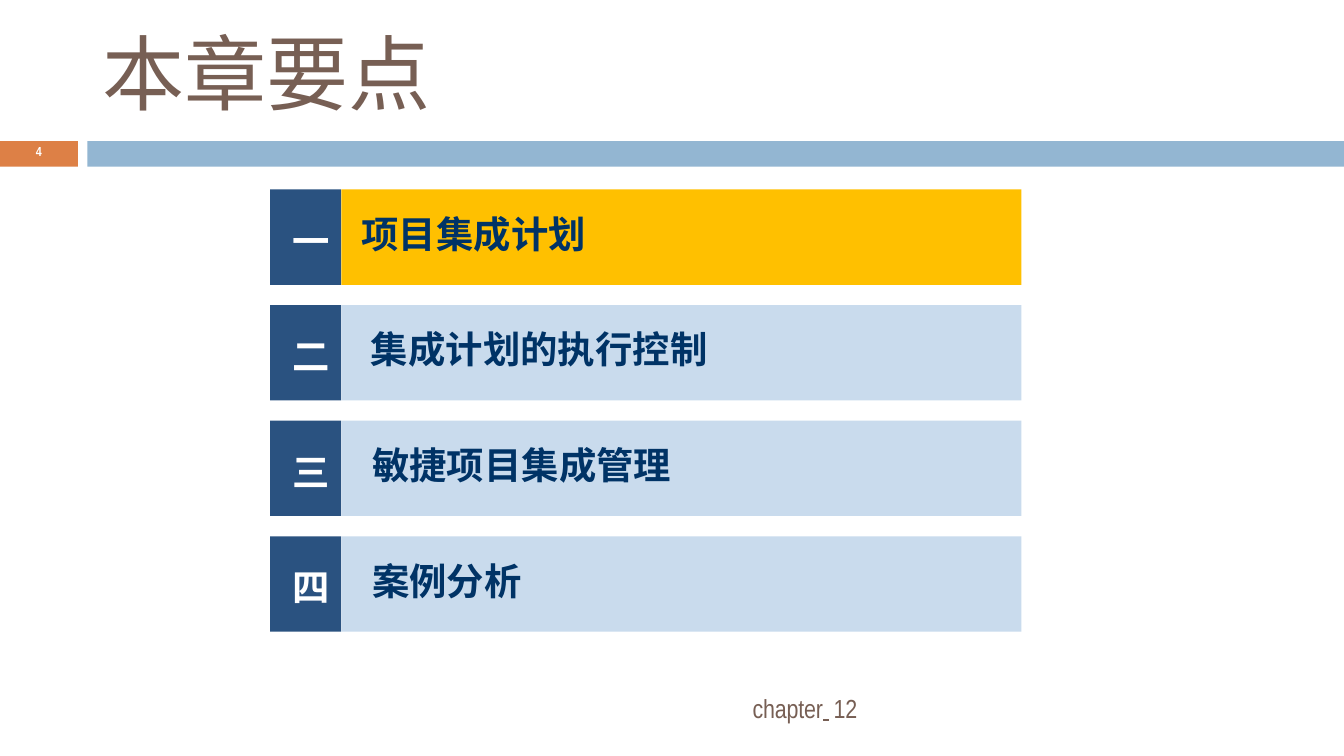
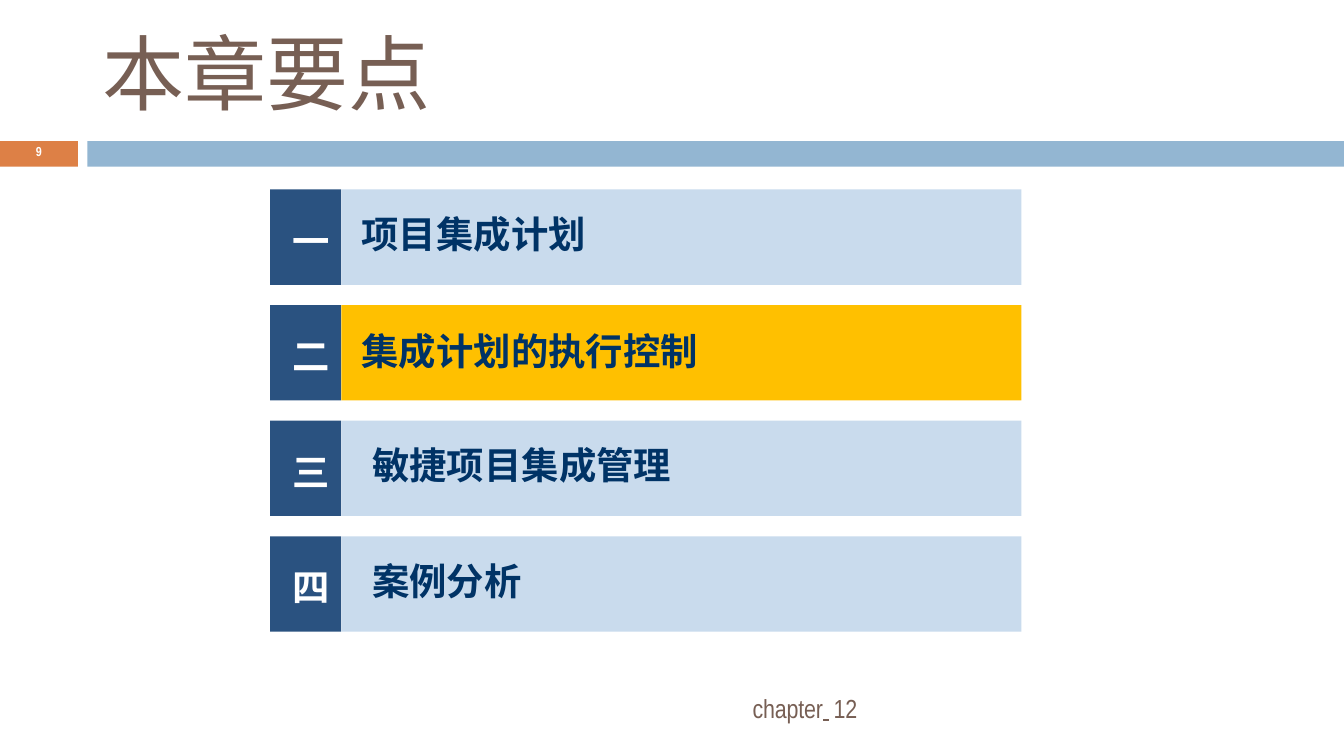
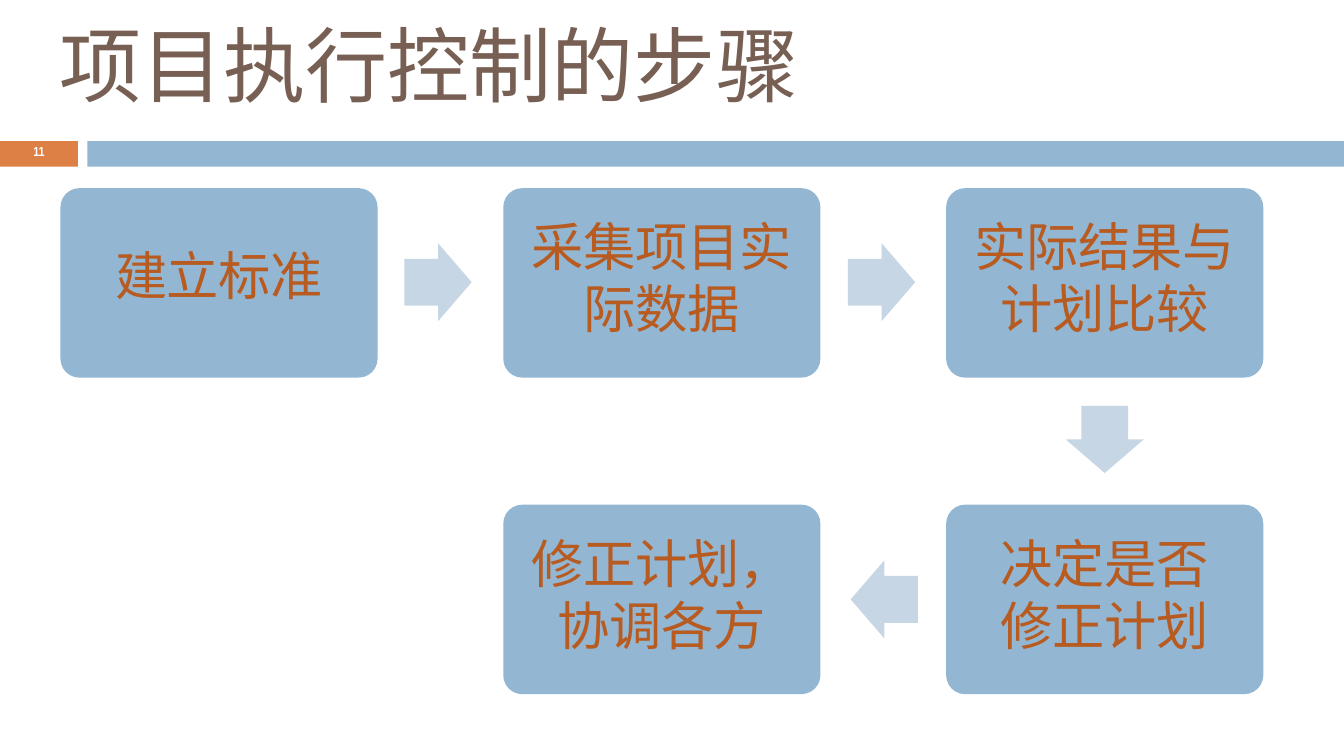
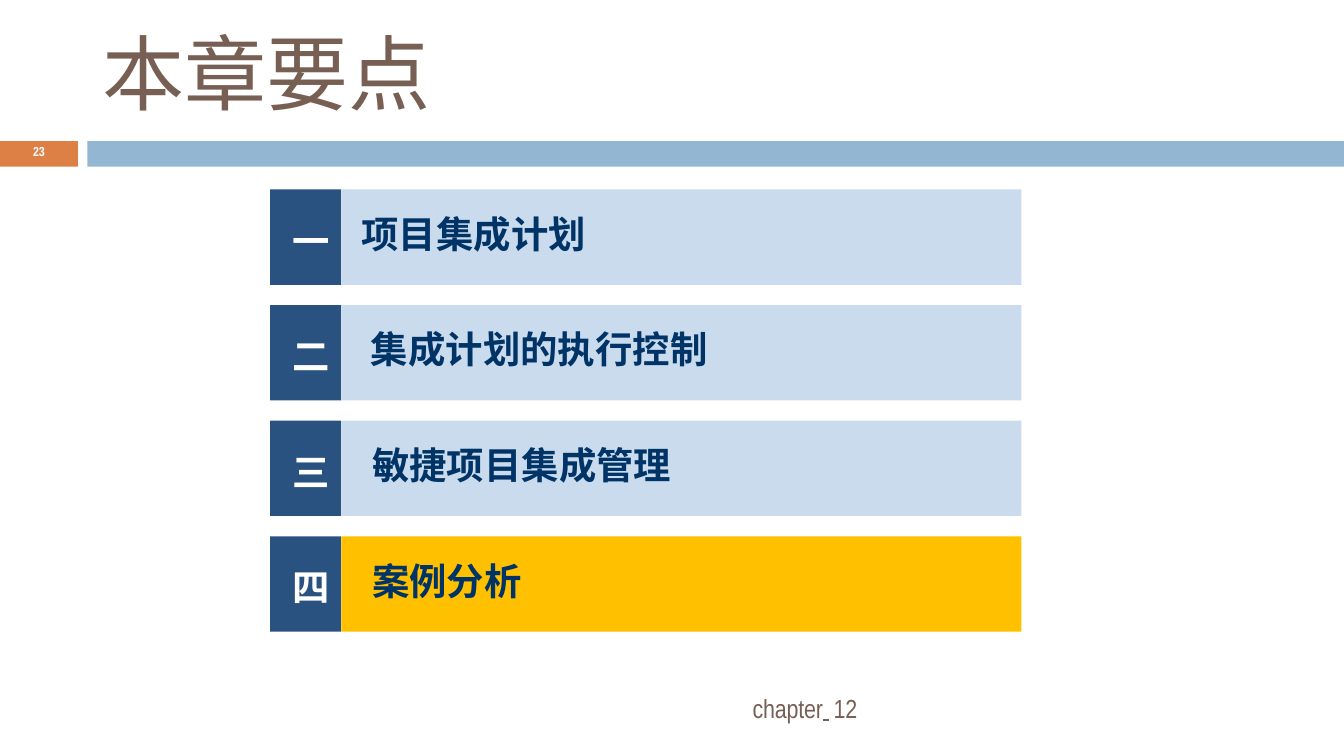
from pptx import Presentation
from pptx.dml.color import RGBColor
from pptx.enum.shapes import MSO_SHAPE
from pptx.enum.text import MSO_ANCHOR, PP_ALIGN
from pptx.oxml.ns import qn
from pptx.util import Inches, Pt
from lxml import etree

RECT = MSO_SHAPE.RECTANGLE
ROUNDED = MSO_SHAPE.ROUNDED_RECTANGLE
RIGHT, DOWN, LEFT = (MSO_SHAPE.RIGHT_ARROW, MSO_SHAPE.DOWN_ARROW,
                     MSO_SHAPE.LEFT_ARROW)
TOP = MSO_ANCHOR.TOP
ALIGN_LEFT, ALIGN_CENTER = PP_ALIGN.LEFT, PP_ALIGN.CENTER

# The grid: 100 columns by 56.25 rows of square cells
CELL = 0.1
COLUMNS, ROWS = 100, 56.25

COLORS = {
    "title": "775F54", "accent": "DD8046", "band": "93B6D2",
    "badge": "2A5280", "item": "C9DBED", "active": "FFC000",
    "ink": "003366", "white": "FFFFFF", "step": "B85B21", "arrow": "C7D6E4",
}
SC, JP, NARROW = "Noto Sans CJK SC", "Noto Sans CJK JP", "Arial Narrow"

AGENDA = [("一", "项目集成计划", 1.5), ("二", "集成计划的执行控制", 2.2),
          ("三", "敏捷项目集成管理", 2.3), ("四", "案例分析", 2.3)]

# Each step: grid column, grid row, lines of text
STEPS = [(0, 0, ["建立标准"]), (1, 0, ["采集项目实", "际数据"]),
         (2, 0, ["实际结果与", "计划比较"]), (2, 1, ["决定是否", "修正计划"]),
         (1, 1, ["修正计划，", "协调各方"])]


def cells(count):
    return Inches(count * CELL)


def write(shape, parts, size=20, font=SC, color="ink", bold=False,
          align=ALIGN_LEFT, spacing=0, line=None, left=0, top=0.1):
    """Fill a shape with text: a string, or (text, own spacing, underline) runs."""
    frame = shape.text_frame
    frame.word_wrap = True
    frame.vertical_anchor = TOP
    frame.margin_left, frame.margin_top = cells(left), cells(top)
    frame.margin_right = frame.margin_bottom = 0
    paragraph = frame.paragraphs[0]
    paragraph.alignment = align
    if line:
        paragraph.line_spacing = Pt(line)
    if isinstance(parts, str):
        parts = [(parts, spacing, False)]
    for text, run_spacing, underline in parts:
        for index, row in enumerate(text.split("\n")):
            if index:
                paragraph.add_line_break()
            run = paragraph.add_run()
            run.text = row
            run.font.size, run.font.bold, run.font.name = Pt(size), bold, font
            run.font.color.rgb = RGBColor.from_string(COLORS[color])
            if underline:
                run.font.underline = True
            properties = run.font._element
            if run_spacing:
                properties.set("spc", str(round(run_spacing * 100)))
            latin = properties.find(qn("a:latin"))
            east_asian = etree.Element(qn("a:ea"), typeface=font)
            latin.addnext(east_asian)


class Deck:
    def __init__(self):
        self.show = Presentation()
        self.show.slide_width = cells(COLUMNS)
        self.show.slide_height = cells(ROWS)
        self.slide = None

    def block(self, kind, x, y, width, height, fill, adjust=()):
        shape = self.slide.shapes.add_shape(
            kind, cells(x), cells(y), cells(width), cells(height))
        shape.shadow.inherit = False
        shape.fill.solid()
        shape.fill.fore_color.rgb = RGBColor.from_string(COLORS[fill])
        shape.line.fill.background()
        for index, value in enumerate(adjust):
            shape.adjustments[index] = value
        return shape

    def label(self, x, y, width, height, text, **style):
        box = self.slide.shapes.add_textbox(
            cells(x), cells(y), cells(width), cells(height))
        write(box, text, **style)

    def page(self, number, title, x, y):
        """Start a slide with its bands, title and page number."""
        self.slide = self.show.slides.add_slide(self.show.slide_layouts[6])
        tab_width, band_left = 5.8, 6.5
        self.block(RECT, 0, 10.5, tab_width, 1.9, "accent")
        self.block(RECT, band_left, 10.5, COLUMNS - band_left, 1.9, "band")
        self.label(x, y, 6.1 * len(title) + 0.4, 7.6, title, size=44, color="title")
        number_width = 0.3 + 0.4 * len(number)
        self.label((tab_width - number_width) / 2, 10.6, number_width, 1.4, number,
                   size=7, font=NARROW, color="white", bold=True,
                   align=ALIGN_CENTER, spacing=-0.1)

    def footer(self):
        self.label(56, 51.4, 9.1, 2.6,
                   [("chapter", -0.1, False), (" ", 2.5, True), ("12", -0.1, False)],
                   size=14, font=NARROW, color="title")

    def agenda(self, number, active, shifts=None):
        """List the chapter's parts, with one lit up; shifts replace (left, top)."""
        self.page(number, "本章要点", 7.6, 1.6)
        self.footer()
        left, top, pitch, height, badge_width = 20.1, 14.1, 8.6, 7.1, 5.3
        for index, (numeral, topic, indent) in enumerate(AGENDA):
            y = top + index * pitch
            badge = self.block(RECT, left, y, badge_width, height, "badge")
            write(badge, numeral, color="white", bold=True, left=1.7, top=2.1)
            bar = self.block(RECT, left + badge_width, y, 50.6, height,
                             "active" if index == active else "item")
            text_left, text_top = (shifts or {}).get(index, (indent, 1.6))
            write(bar, topic, bold=True, left=text_left, top=text_top)

    def step(self, column, row, lines):
        """Draw one card of the process, with its text centred on it."""
        width, height = 23.6, 14.1
        x, y = 4.5 + column * 32.95, 14 + row * 23.55
        self.block(ROUNDED, x, y, width, height, "band", adjust=[0.1])
        text_width = 3.94 * max(map(len, lines))
        single = len(lines) == 1
        self.label(x + (width - text_width) / 2, y + (4 if single else 1.7),
                   text_width, 4.9 if single else 9.6, "\n".join(lines),
                   size=28, font=JP, color="step", align=ALIGN_CENTER,
                   spacing=-0.1, line=None if single else 33.3,
                   top=0.1 if single else 0.3)

    def arrow(self, kind, x, y):
        width, height = (5.8, 5) if kind == DOWN else (5, 5.8)
        self.block(kind, x, y, width, height, "arrow", adjust=[0.6, 0.5])


def main():
    deck = Deck()

    # Chapter outline, parts one and two
    deck.agenda("4", active=0)
    deck.agenda("9", active=1, shifts={1: (1.5, 1.7)})

    # Process of execution control
    deck.page("11", "项目执行控制的步骤", 4.4, 1)
    for step in STEPS:
        deck.step(*step)
    for kind, x, y in [(RIGHT, 30.1, 18.1), (RIGHT, 63.1, 18.1),
                       (DOWN, 79.3, 30.2), (LEFT, 63.3, 41.7)]:
        deck.arrow(kind, x, y)

    # Chapter outline, part four
    deck.agenda("23", active=3)
    deck.show.save("out.pptx")


if __name__ == "__main__":
    main()
